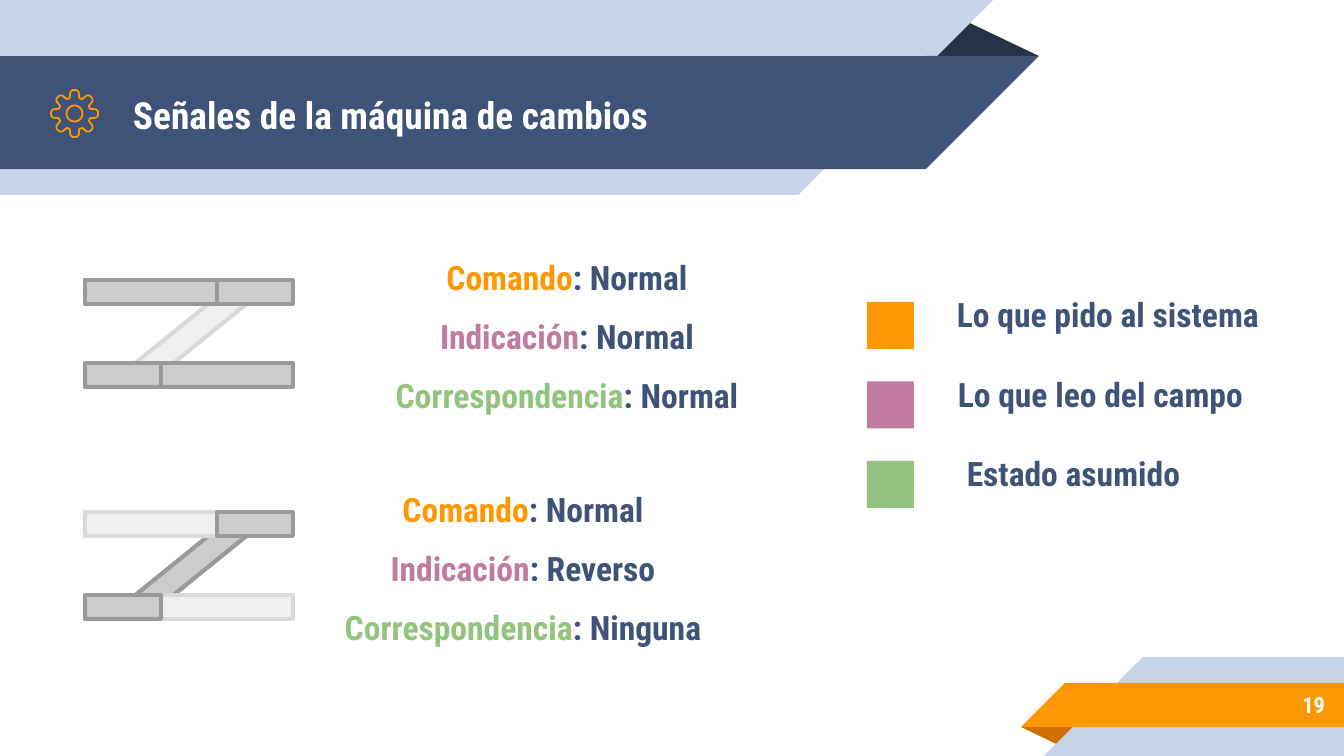
from math import cos, radians, sin

from lxml.etree import SubElement
from pptx import Presentation
from pptx.dml.color import RGBColor
from pptx.enum.shapes import MSO_SHAPE as Shape
from pptx.enum.text import MSO_ANCHOR as Anchor, PP_ALIGN as Align
from pptx.oxml.ns import qn
from pptx.util import Emu, Pt

SCALE = 914400 / 134.4
FONT = "Roboto Condensed"
WHITE, NAVY, PALE = "FFFFFF", "3F5378", "C7D3E6"
ORANGE, PINK, GREEN = "FF9800", "C27BA0", "93C47D"
ACTIVE, IDLE = ("CCCCCC", "999999"), ("EFEFEF", "D9D9D9")


def px(value):
    return Emu(round(value * SCALE))


def color(code):
    return RGBColor.from_string(code)


def set_outline(shape, code, width):
    shape.line.color.rgb = color(code)
    shape.line.width = Pt(width)
    SubElement(shape.line._get_or_add_ln(), qn("a:round"))


def add_block(page, kind, box, fill, outline=None, rotation=0, flip=False, apex=None):
    shape = page.shapes.add_shape(kind, *map(px, box))
    shape.shadow.inherit = False
    shape.fill.solid()
    shape.fill.fore_color.rgb = color(fill)
    shape.rotation = rotation
    if flip:
        shape._element.spPr.xfrm.set("flipH", "1")
    if apex is not None:
        shape.adjustments[0] = apex
    if outline:
        set_outline(shape, outline, 2.25)
    else:
        shape.line.fill.background()
    return shape


def add_text(page, box, lines, size=18, align=Align.CENTER, anchor=Anchor.MIDDLE):
    """Each line is a list of (text, colour) spans."""
    frame = page.shapes.add_textbox(*map(px, box)).text_frame
    layout = {"word_wrap": True, "vertical_anchor": anchor}
    layout |= {f"margin_{side}": px(13) for side in ("left", "top", "right", "bottom")}
    for name, value in layout.items():
        setattr(frame, name, value)
    for index, line in enumerate(lines):
        para = frame.add_paragraph() if index else frame.paragraphs[0]
        para.alignment = align
        if index:
            para.space_before = Pt(10)
        for text, code in line:
            span = para.add_run()
            span.text = text
            for name, value in {"name": FONT, "size": Pt(size), "bold": True}.items():
                setattr(span.font, name, value)
            span.font.color.rgb = color(code)


def add_gear(page, left, top, size):
    radius = size / 2

    def point(angle, distance):
        turn = radians(angle)
        return (px(left + radius + distance * sin(turn)),
                px(top + radius - distance * cos(turn)))

    # Tooth profile: angle from the tooth axis, share of the radius
    tooth = [(-17, 0.69), (-11, 0.93), (-5, 1), (5, 1), (11, 0.93), (17, 0.69)]
    rim = [point(45 * step + angle, radius * share)
           for step in range(8) for angle, share in tooth]
    hub = [point(angle, radius * 0.34) for angle in range(0, 360, 15)]
    builder = page.shapes.build_freeform(*rim[0])
    builder.add_line_segments(rim[1:], close=True)
    builder.move_to(*hub[0])
    builder.add_line_segments(hub[1:], close=True)
    gear = builder.convert_to_shape()
    gear.shadow.inherit = False
    gear.fill.background()
    set_outline(gear, ORANGE, 0.96)


def add_header(page, left, top, title):
    # Folded ribbon
    add_block(page, Shape.ISOSCELES_TRIANGLE, (left + 925, top + 19, 114, 37),
              "263248", apex=0.32)
    for offset, length, height, fill in ((0, 798, 195, PALE), (56, 926, 113, NAVY)):
        for kind, start, width in ((Shape.RECTANGLE, 0, length),
                                   (Shape.RIGHT_TRIANGLE, length, height)):
            add_block(page, kind, (left + start, top + offset, width, height),
                      fill, rotation=180, flip=True)
    # Title and icon
    add_text(page, (left + 120, top + 58, 808, 113), [[(title, WHITE)]],
             size=20, align=Align.LEFT)
    add_gear(page, left + 51, top + 90, 47)


def add_footer(page, left, top, number):
    # Folded ribbon
    add_block(page, Shape.ISOSCELES_TRIANGLE, (left, top + 70, 58, 19),
              "D26F00", rotation=180, apex=0.32)
    for start, offset, height, fill in ((23, 0, 99, PALE), (0, 26, 44, ORANGE)):
        edge = left + start + height
        add_block(page, Shape.RECTANGLE, (edge, top + offset, 1344 - edge, height),
                  fill, flip=True)
        add_block(page, Shape.RIGHT_TRIANGLE,
                  (edge - height, top + offset, height, height), fill, flip=True)
    # Page number
    add_text(page, (left + 98, top + 24, 219, 47), [[(number, WHITE)]],
             size=12, align=Align.RIGHT)


def add_switch(page, left, top, main, diagonal):
    """Two parallel tracks joined by a diagonal one."""
    bars = [(37, 44, 132, diagonal, 321), (0, 0, 132, main, 0), (76, 83, 132, main, 0),
            (132, 0, 76, ACTIVE, 0), (0, 83, 76, ACTIVE, 0)]
    for x, y, width, (fill, outline), rotation in bars:
        add_block(page, Shape.RECTANGLE, (left + x, top + y, width, 24),
                  fill, outline, rotation)


def add_signals(page, left, top, values):
    names = (("Comando", ORANGE), ("Indicación", PINK), ("Correspondencia", GREEN))
    lines = [[name, (f": {value}", NAVY)] for name, value in zip(names, values)]
    add_text(page, (left, top, 470, 196), lines)


def add_legend(page, left, top):
    entries = [("Lo que pido al sistema", ORANGE, 60, 362),
               ("Lo que leo del campo", PINK, 72, 323),
               ("Estado asumido", GREEN, 79, 255)]
    for index, (label, fill, offset, width) in enumerate(entries):
        row = top + 79.5 * index
        add_block(page, Shape.RECTANGLE, (left, row + 21, 47, 47), fill)
        add_text(page, (left + offset, row, width, 69), [[(label, NAVY)]],
                 anchor=Anchor.TOP)


def main():
    deck = Presentation()
    deck.slide_width, deck.slide_height = px(1344), px(756)
    page = deck.slides.add_slide(deck.slide_layouts[6])
    add_header(page, 0, 0, "Señales de la máquina de cambios")
    add_footer(page, 1021, 657, "19")
    # Normal position
    add_switch(page, 85, 280, ACTIVE, IDLE)
    add_signals(page, 332, 238, ("Normal", "Normal", "Normal"))
    # Reverse position
    add_switch(page, 85, 512, IDLE, ACTIVE)
    add_signals(page, 288, 470, ("Normal", "Reverso", "Ninguna"))
    add_legend(page, 867, 281)
    deck.save("out.pptx")


if __name__ == "__main__":
    main()
